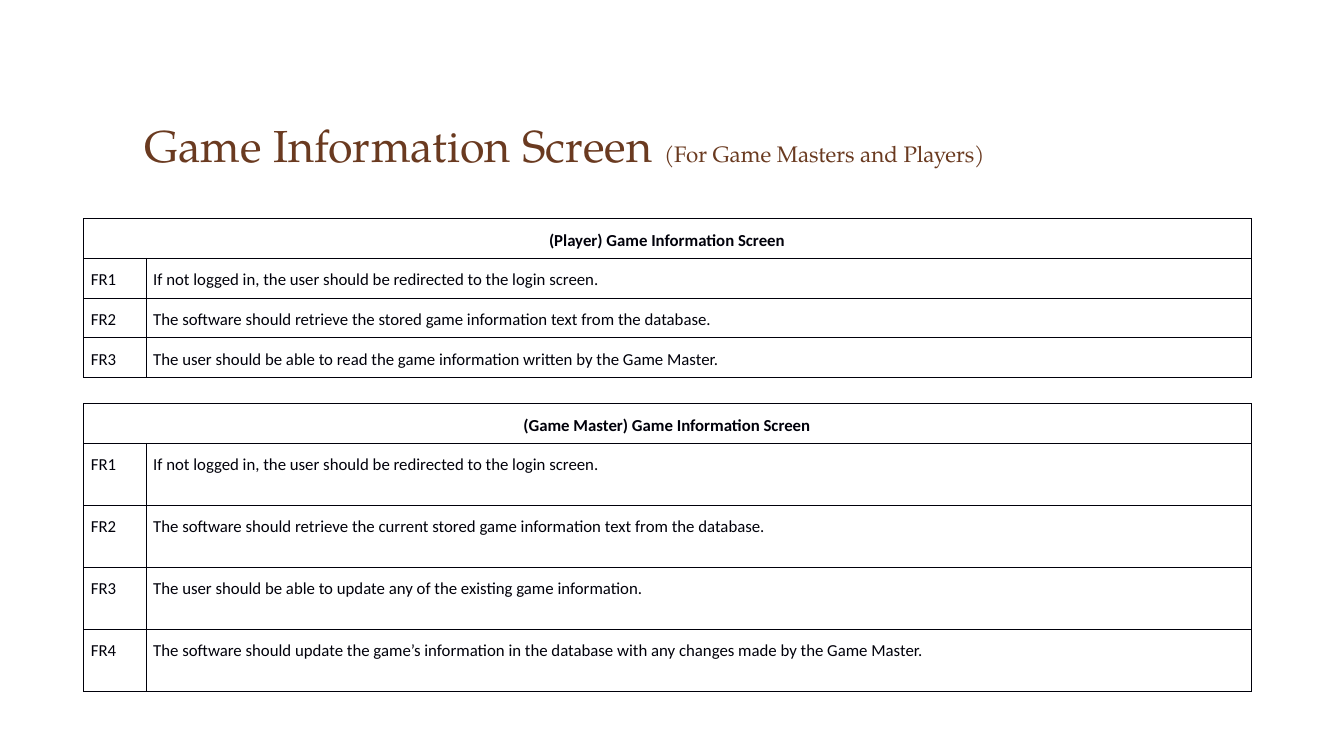
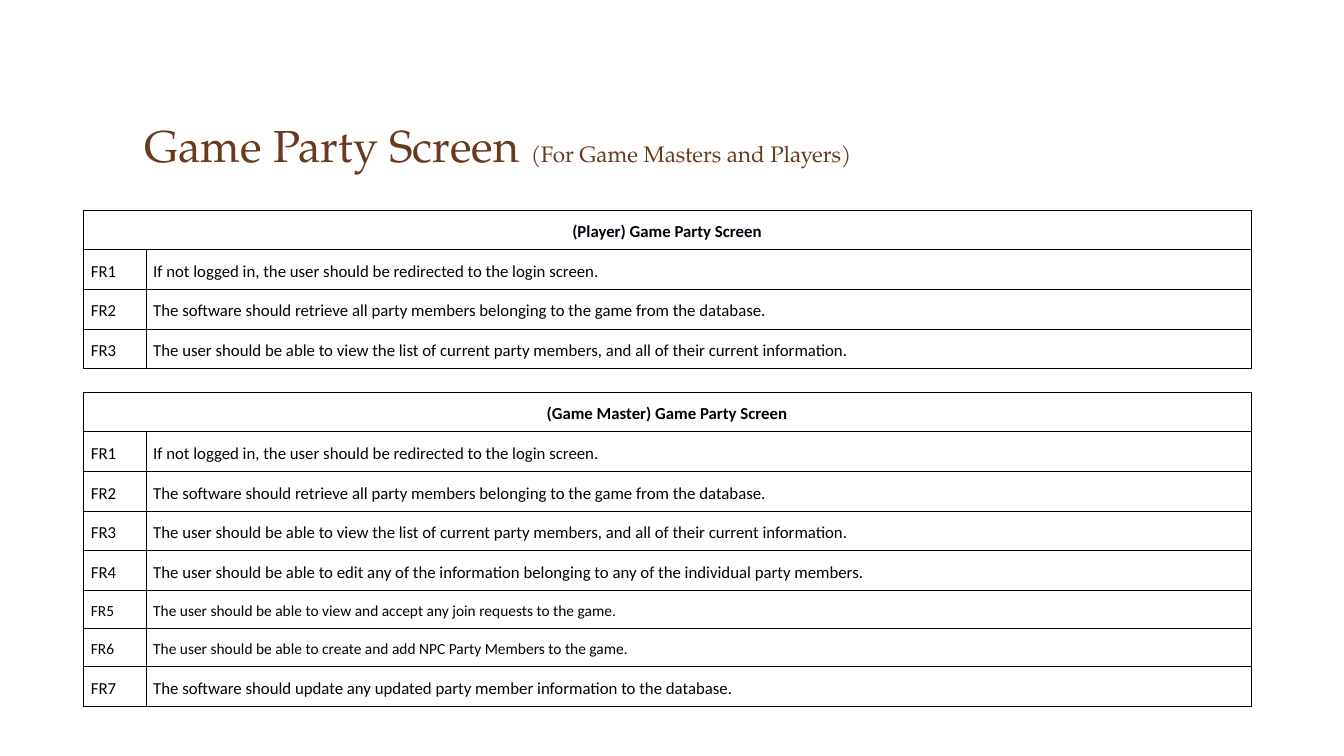
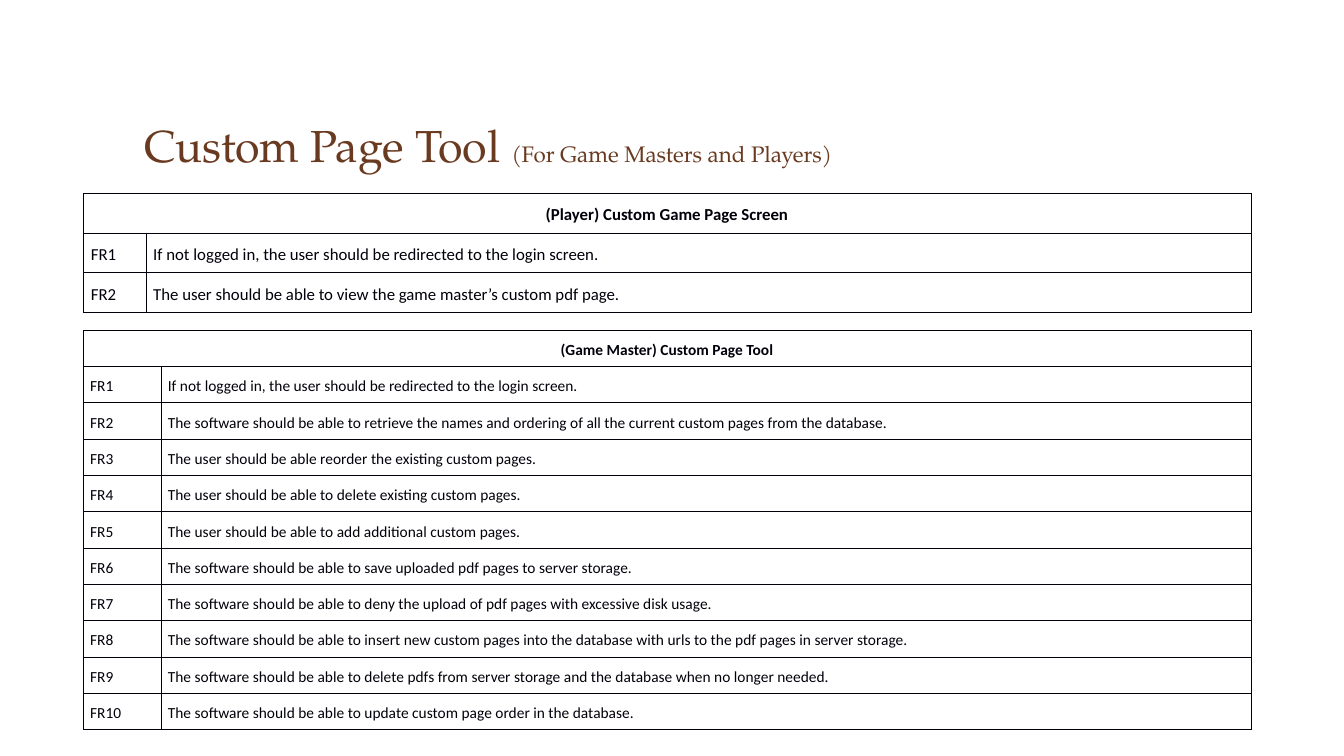
"""Build the functional requirement slides for the game screens."""
from dataclasses import dataclass

from lxml.etree import SubElement
from pptx import Presentation
from pptx.dml.color import RGBColor
from pptx.enum.text import MSO_ANCHOR, PP_ALIGN
from pptx.oxml.ns import qn
from pptx.slide import Slide
from pptx.table import _Cell
from pptx.util import Cm, Pt

BROWN = RGBColor(0x6A, 0x3A, 0x20)
INK = RGBColor(0x00, 0x00, 0x0A)
TITLE_FONT = "TeX Gyre Pagella"
BODY_FONT = "Calibri"
AUDIENCE = "(For Game Masters and Players)"
LEFT = 2.11
TABLE_W = 29.42
BORDER = Pt(0.6)
LOGIN = "If not logged in, the user should be redirected to the login screen."
GET_PARTY = "The software should retrieve all party members belonging to the game from the database."
VIEW_PARTY = ("The user should be able to view the list of current party members, "
              "and all of their current information.")


@dataclass(frozen=True)
class Requirements:
    """One table of numbered requirements, with lengths in centimetres."""
    heading: str
    top: float
    items: tuple[str, ...]
    size: int = 12
    head_h: float = 1.0
    row_h: float = 1.0
    label_w: float = 1.57
    inset_x: float = 0.18
    inset_y: float = 0.19
    small: tuple[int, ...] = ()


@dataclass(frozen=True)
class Screen:
    """One slide: its title and its tables."""
    title: str
    tables: tuple[Requirements, ...]


SCREENS = (
    Screen("Game Information Screen ", (
        Requirements("(Player) Game Information Screen", 5.51, (
            LOGIN,
            "The software should retrieve the stored game information text from the database.",
            "The user should be able to read the game information written by the Game Master.",
        )),
        Requirements("(Game Master) Game Information Screen", 10.17, (
            LOGIN,
            "The software should retrieve the current stored game information text from the database.",
            "The user should be able to update any of the existing game information.",
            "The software should update the game’s information in the database "
            "with any changes made by the Game Master.",
        ), row_h=1.56),
    )),
    Screen("Game Party Screen ", (
        Requirements("(Player) Game Party Screen", 5.29, (LOGIN, GET_PARTY, VIEW_PARTY)),
        Requirements("(Game Master) Game Party Screen", 9.88, (
            LOGIN,
            GET_PARTY,
            VIEW_PARTY,
            "The user should be able to edit any of the information belonging to any "
            "of the individual party members.",
            "The user should be able to view and accept any join requests to the game.",
            "The user should be able to create and add NPC Party Members to the game.",
            "The software should update any updated party member information to the database.",
        ), small=(5, 6)),
    )),
    Screen("Custom Page Tool ", (
        Requirements("(Player) Custom Game Page Screen", 4.87, (
            LOGIN,
            "The user should be able to view the game master’s custom pdf page.",
        )),
        Requirements("(Game Master) Custom Page Tool", 8.32, (
            LOGIN,
            "The software should be able to retrieve the names and ordering of all "
            "the current custom pages from the database.",
            "The user should be able reorder the existing custom pages.",
            "The user should be able to delete existing custom pages.",
            "The user should be able to add additional custom pages.",
            "The software should be able to save uploaded pdf pages to server storage.",
            "The software should be able to deny the upload of pdf pages with excessive disk usage.",
            "The software should be able to insert new custom pages into the database "
            "with urls to the pdf pages in server storage.",
            "The software should be able to delete pdfs from server storage and the "
            "database when no longer needed.",
            "The software should be able to update custom page order in the database.",
        ), size=11, head_h=0.91, row_h=0.91, label_w=1.96, inset_x=0.16, inset_y=0.17),
    )),
)


def add_title(s: Slide, title: str) -> None:
    """Place the title and add its large and small runs."""
    sp = s.shapes.title
    sp.left, sp.top, sp.width, sp.height = Cm(3.38), Cm(1.19), Cm(27.08), Cm(3.25)
    tf = sp.text_frame
    tf.vertical_anchor = MSO_ANCHOR.BOTTOM
    p = tf.paragraphs[0]
    p.alignment = PP_ALIGN.LEFT
    for text, size in ((title, 32), (AUDIENCE, 16)):
        r = p.add_run()
        r.text = text
        r.font.name, r.font.size = TITLE_FONT, Pt(size)
        r.font.color.rgb = BROWN


def style_cell(cell: _Cell, req: Requirements) -> None:
    """Give a cell its borders, insets and empty fill."""
    tc_pr = cell._tc.get_or_add_tcPr()
    for side in ("a:lnL", "a:lnR", "a:lnT", "a:lnB"):
        ln = SubElement(tc_pr, qn(side), w=str(BORDER))
        fill = SubElement(ln, qn("a:solidFill"))
        SubElement(fill, qn("a:srgbClr"), val=str(INK))
    cell.fill.background()
    cell.margin_left, cell.margin_right = Cm(req.inset_x), Cm(req.inset_x + 0.02)
    cell.margin_top = cell.margin_bottom = Cm(req.inset_y)


def write_cell(cell: _Cell, text: str, size: int, heading: bool = False) -> None:
    """Write one line of text, centred and bold for a heading."""
    p = cell.text_frame.paragraphs[0]
    p.alignment = PP_ALIGN.CENTER if heading else PP_ALIGN.LEFT
    p.line_spacing, p.space_after = 1.2, Pt(7.2)
    r = p.add_run()
    r.text = text
    r.font.name, r.font.size, r.font.bold = BODY_FONT, Pt(size), heading
    r.font.color.rgb = INK


def add_requirements(s: Slide, req: Requirements) -> None:
    """Draw a requirements table with a merged heading row."""
    heights = [req.head_h] + [0.96 if n in req.small else req.row_h
                              for n in range(1, len(req.items) + 1)]
    table = s.shapes.add_table(len(heights), 2, Cm(LEFT), Cm(req.top),
                               Cm(TABLE_W), Cm(sum(heights))).table
    table.first_row = table.horz_banding = False
    table.columns[0].width = Cm(req.label_w)
    table.columns[1].width = Cm(TABLE_W - req.label_w)
    for row, height in zip(table.rows, heights):
        row.height = Cm(height)
    for cell in table.iter_cells():
        style_cell(cell, req)
    table.cell(0, 0).merge(table.cell(0, 1))
    write_cell(table.cell(0, 0), req.heading, req.size, heading=True)
    for n, item in enumerate(req.items, 1):
        size = 11 if n in req.small else req.size
        write_cell(table.cell(n, 0), f"FR{n}", size)
        write_cell(table.cell(n, 1), item, size)


def main() -> None:
    """Build and save the presentation."""
    prs = Presentation()
    prs.slide_width, prs.slide_height = Cm(33.87), Cm(19.05)
    for screen in SCREENS:
        s = prs.slides.add_slide(prs.slide_layouts[5])
        add_title(s, screen.title)
        for req in screen.tables:
            add_requirements(s, req)
    prs.save("out.pptx")


if __name__ == "__main__":
    main()
